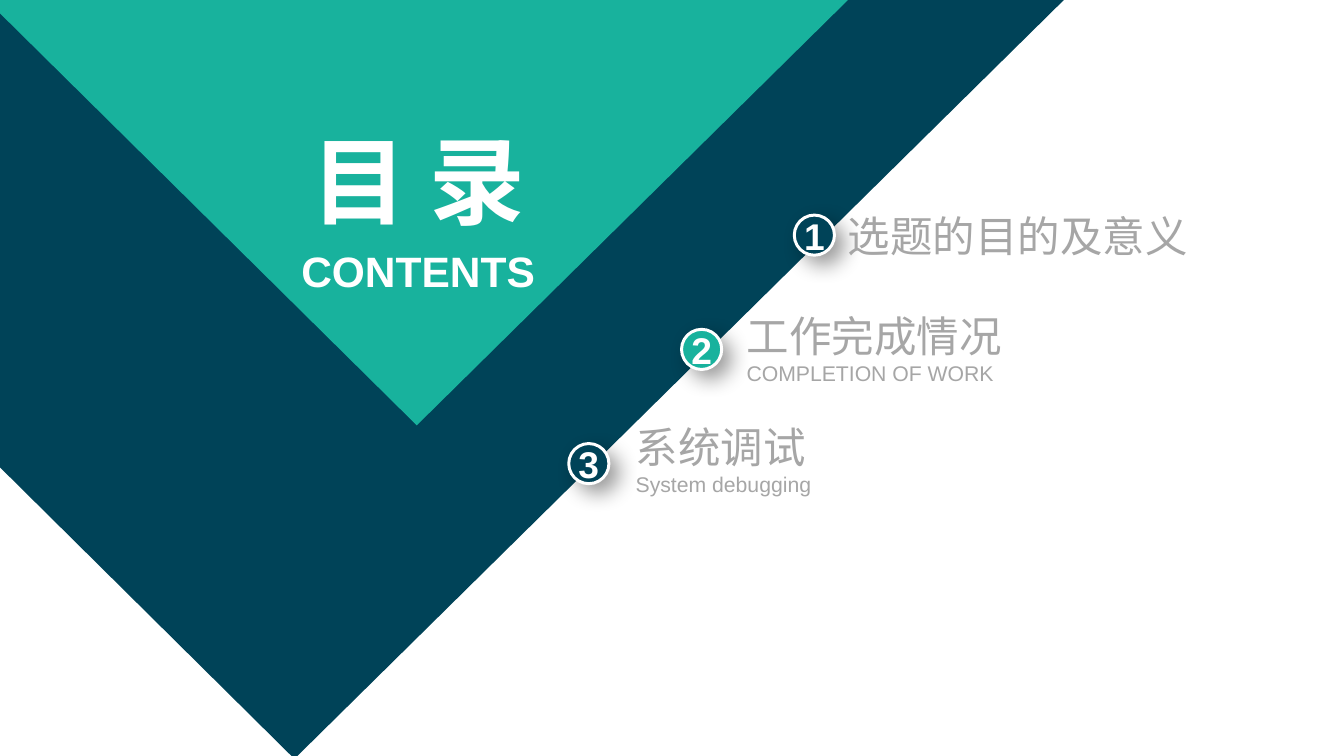
from dataclasses import dataclass

from lxml import etree
from pptx import Presentation
from pptx.dml.color import RGBColor
from pptx.enum.shapes import MSO_SHAPE
from pptx.enum.text import MSO_ANCHOR, MSO_AUTO_SIZE, PP_ALIGN
from pptx.oxml.ns import qn
from pptx.util import Inches, Pt

OVAL = MSO_SHAPE.OVAL
TOP, MIDDLE = MSO_ANCHOR.TOP, MSO_ANCHOR.MIDDLE
LEFT, CENTER = PP_ALIGN.LEFT, PP_ALIGN.CENTER
FIXED = MSO_AUTO_SIZE.NONE


@dataclass
class Theme:
    navy: RGBColor = RGBColor.from_string("004358")
    teal: RGBColor = RGBColor.from_string("18B29D")
    white: RGBColor = RGBColor.from_string("FFFFFF")
    gray: RGBColor = RGBColor.from_string("A6A6A6")
    font: str = "Arial"
    title: int = 72
    head: int = 32
    digit: int = 28
    note: int = 16


theme = Theme()
deck = Presentation()
deck.slide_width, deck.slide_height = Inches(14.06), Inches(7.91)
col, row = deck.slide_width / 100, deck.slide_height / 100
slide = deck.slides.add_slide(deck.slide_layouts[5])
shapes = slide.shapes


def place(x, y, wide, high):
    """Turn percentages of the slide into a left, top, width and height."""
    return round(x * col), round(y * row), round(wide * col), round(high * row)


def write(shape, lines, color, bold=False, align=CENTER, anchor=MIDDLE):
    """Fill a shape with (text, size) lines, without margins."""
    frame = shape.text_frame
    frame.auto_size = FIXED
    frame.word_wrap = True
    frame.vertical_anchor = anchor
    frame.margin_left = frame.margin_right = 0
    frame.margin_top = frame.margin_bottom = 0
    frame.text = "\n".join(text for text, size in lines)
    for para, (text, size) in zip(frame.paragraphs, lines):
        para.alignment = align
        font = para.font
        font.name, font.size, font.bold = theme.font, Pt(size), bold
        font.color.rgb = color


# Background wedges
wedges = [
    (theme.navy, [(79.16, 0), (21.91, 100.38), (0, 61.82)]),
    (theme.teal, [(63.09, 0), (31.01, 56.26), (0, 1.77)]),
]
for color, points in wedges:
    path = shapes.build_freeform(0, 0)
    path.add_line_segments([(x * col, y * row) for x, y in points])
    wedge = path.convert_to_shape()
    wedge.shadow.inherit = False
    wedge.fill.solid()
    wedge.fill.fore_color.rgb = color
    wedge.line.fill.background()

# Numbered topics along the slope
topics = [
    (63.09, 27.81, 30.37, theme.navy, [("选题的目的及意义", theme.head)]),
    (55.55, 40.96, 20.41, theme.teal,
     [("工作完成情况", theme.head), ("COMPLETION OF WORK", theme.note)]),
    (47.3, 55.63, 20.41, theme.navy,
     [("系统调试", theme.head), ("System debugging", theme.note)]),
]
for i, (x, y, wide, color, lines) in enumerate(topics):
    dot = shapes.add_shape(OVAL, *place(59.1 - 8.39 * i, 28.45 + 15.11 * i, 2.99, 5.31))
    dot.fill.solid()
    dot.fill.fore_color.rgb = color
    dot.line.color.rgb = theme.white
    dot.line.width = Pt(2.25)
    dot.shadow.inherit = False
    glow = dot.element.spPr.find(qn("a:effectLst"))
    shade = etree.SubElement(glow, qn("a:outerShdw"), blurRad=str(Pt(16)),
                             dist=str(Pt(9)), dir="2700000", algn="tl", rotWithShape="0")
    black = etree.SubElement(shade, qn("a:srgbClr"), val="000000")
    etree.SubElement(black, qn("a:alpha"), val="40000")
    write(dot, [(str(i + 1), theme.digit)], theme.white, bold=True)

    label = shapes.add_textbox(*place(x, y, wide, 11.4))
    write(label, lines, theme.gray, align=LEFT, anchor=TOP)

# Heading, brought in front of the wedges
title = shapes.title
title.left, title.top, title.width, title.height = place(20.91, 16.06, 20.41, 15.3)
write(title, [("目 录", theme.title)], theme.white, bold=True)
title.element.getparent().append(title.element)

caption = shapes.add_textbox(*place(22.05, 32.36, 18.14, 6.83))
write(caption, [("CONTENTS", theme.head)], theme.white, bold=True, anchor=TOP)

deck.save("out.pptx")
